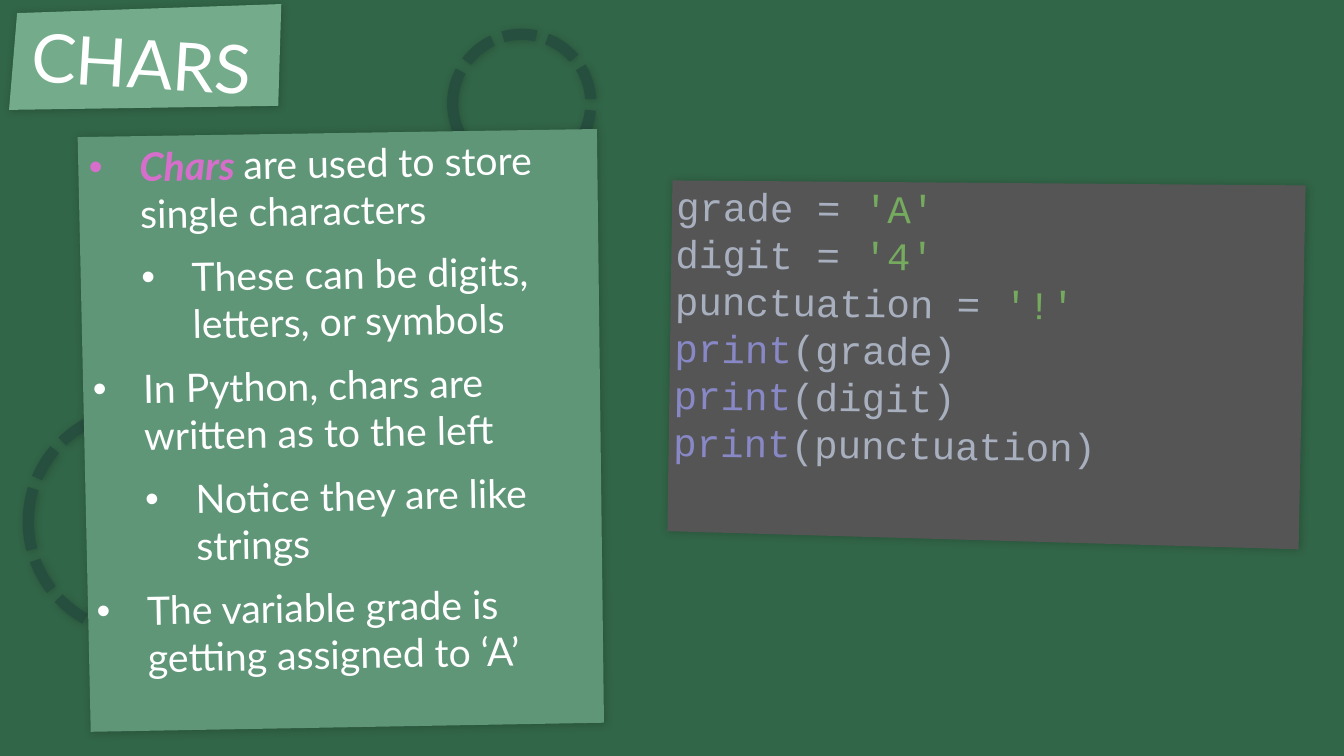
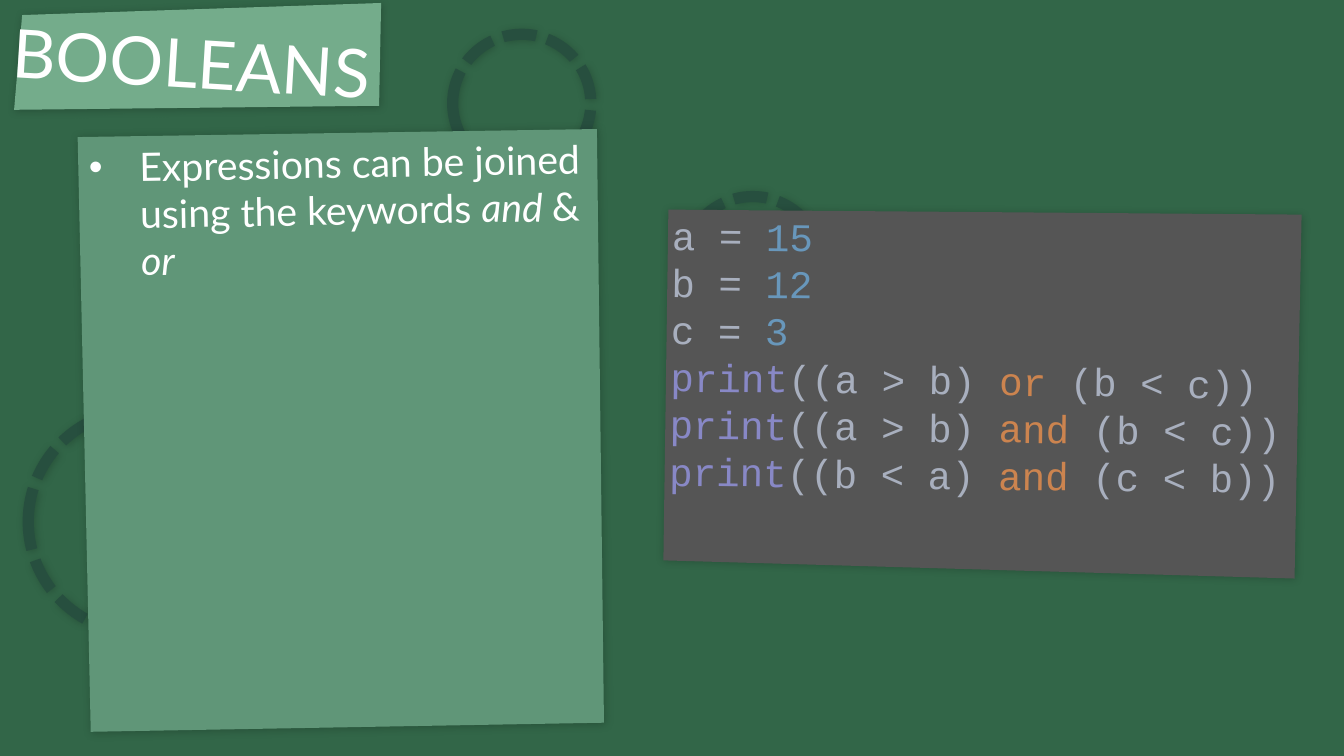
from lxml import etree
from pptx import Presentation
from pptx import util as u
from pptx.dml.color import RGBColor
from pptx.enum import dml, shapes, text
from pptx.oxml.ns import qn

GREEN, RING, TITLE, PANEL, EDITOR = "326648", "274F3F", "74AC8B", "609678", "555555"
WHITE, PINK = "FFFFFF", "D86ECC"
PLAIN, STRING, NUMBER, BUILTIN, KEYWORD = "A8AFBE", "75AA5F", "6897BB", "8888C6", "CC844F"
RINGS = [(6.78, 1.95, 1.37), (0.28, 4.07, 2.21), (4.49, 0.34, 1.37)]
PANEL_CORNERS = [(0.77, 1.36), (5.92, 1.28), (5.99, 7.17), (0.9, 7.26)]
EDITOR_CORNERS = [(0.08, 0), (6.36, 0.05), (6.29, 3.66), (0.03, 3.48)]
BODY = {"size": u.Pt(28), "name": "Lato"}
HEADING = {"size": u.Pt(48), "name": "Lato"}
CODE = {"size": u.Pt(28), "name": "Courier New"}


def color(value):
    return RGBColor.from_string(value)


class Deck:
    """Holds the chalkboard style and the slide being drawn."""

    def __init__(self):
        self.presentation = Presentation()
        self.presentation.slide_width = u.Inches(13.33)
        self.presentation.slide_height = u.Inches(7.5)
        self.slide = None

    def add_slide(self):
        self.slide = self.presentation.slides.add_slide(self.presentation.slide_layouts[6])
        fill = self.slide.background.fill
        fill.solid()
        fill.fore_color.rgb = color(GREEN)
        for left, top, size in RINGS:
            self.ring(left, top, size)

    def shadow(self, shape):
        shape.shadow.inherit = False
        effects = shape._element.spPr.find(qn("a:effectLst"))
        outer = etree.SubElement(effects, qn("a:outerShdw"), blurRad=str(u.Pt(6)),
                                 dist=str(u.Pt(1)), dir="2700000", algn="ctr", rotWithShape="0")
        black = etree.SubElement(outer, qn("a:srgbClr"), val="000000")
        etree.SubElement(black, qn("a:alpha"), val="20000")

    def ring(self, left, top, size):
        shape = self.slide.shapes.add_shape(
            shapes.MSO_SHAPE.OVAL, *map(u.Inches, (left, top, size, size)))
        shape.fill.background()
        shape.line.color.rgb = color(RING)
        shape.line.width = u.Pt(8)
        shape.line.dash_style = dml.MSO_LINE.SQUARE_DOT
        self.shadow(shape)

    def board(self, corners, fill):
        points = [(u.Inches(x), u.Inches(y)) for x, y in corners]
        builder = self.slide.shapes.build_freeform(*points[0])
        builder.add_line_segments(points[1:], close=True)
        shape = builder.convert_to_shape()
        shape.fill.solid()
        shape.fill.fore_color.rgb = color(fill)
        shape.line.fill.background()
        self.shadow(shape)

    def textbox(self, box, rotation, **frame_format):
        shape = self.slide.shapes.add_textbox(*map(u.Inches, box))
        shape.rotation = rotation
        for name, value in frame_format.items():
            setattr(shape.text_frame, name, value)
        return shape.text_frame

    def paragraph(self, frame, index):
        return frame.add_paragraph() if index else frame.paragraphs[0]

    def run(self, paragraph, words, shade, font_format):
        run = paragraph.add_run()
        run.text = words
        run.font.color.rgb = color(shade)
        for name, value in font_format.items():
            setattr(run.font, name, value)

    def title(self, words, width, corners):
        self.board(corners, TITLE)
        frame = self.textbox((0, 0.1, width, 1.02), 3.5, word_wrap=False,
                             vertical_anchor=text.MSO_ANCHOR.MIDDLE)
        paragraph = frame.paragraphs[0]
        paragraph.alignment = text.PP_ALIGN.CENTER
        self.run(paragraph, words, WHITE, HEADING)

    def bullets(self, items):
        self.board(PANEL_CORNERS, PANEL)
        frame = self.textbox((0.83, 1.33, 5.12, 5.9), -1, word_wrap=True,
                             margin_right=u.Inches(0.05))
        for index, (level, runs) in enumerate(items):
            paragraph = self.paragraph(frame, index)
            paragraph.level = level
            properties = paragraph._p.get_or_add_pPr()
            properties.set("marL", str(u.Inches(0.5 * (level + 1))))
            properties.set("indent", str(u.Inches(-0.5)))
            etree.SubElement(properties, qn("a:buFont"), typeface="Arial")
            etree.SubElement(properties, qn("a:buChar"), char="•")
            if index:
                paragraph.space_before = u.Pt(12)
            for words, shade, extra in runs:
                self.run(paragraph, words, shade, BODY | extra)

    def code(self, left, top, lines):
        self.board([(left + x, top + y) for x, y in EDITOR_CORNERS], EDITOR)
        frame = self.textbox((left, top, 6.28, 3.56), 0.7, word_wrap=False)
        for index, line in enumerate(lines):
            paragraph = self.paragraph(frame, index)
            paragraph.line_spacing = u.Pt(33.7)
            for words, shade in line:
                self.run(paragraph, words, shade, CODE)


def plain(words):
    return [(words, WHITE, {})]


def comparison(left, operator, right):
    return [("print", BUILTIN), (f"(({left}) ", PLAIN), (f"{operator} ", KEYWORD),
            (f"({right}))", PLAIN)]


def main():
    deck = Deck()

    deck.add_slide()
    deck.bullets([
        (0, [("Chars ", PINK, {"bold": True, "italic": True}),
             ("are used to store single characters", WHITE, {})]),
        (1, plain("These can be digits, letters, or symbols")),
        (0, plain("In Python, chars are written as to the left")),
        (1, plain("Notice they are like strings")),
        (0, plain("The variable grade is getting assigned to ‘A’")),
    ])
    deck.title("CHARS", 2.81, [(0.17, 0.13), (2.79, 0.04), (2.76, 1.05), (0.09, 1.09)])
    variables = [("grade", "'A'"), ("digit", "'4'"), ("punctuation", "'!'")]
    deck.code(6.59, 1.79,
              [[(f"{name} = ", PLAIN), (value, STRING)] for name, value in variables]
              + [[("print", BUILTIN), (f"({name})", PLAIN)] for name, _ in variables])

    deck.add_slide()
    deck.bullets([
        (0, [("Expressions can be joined using the keywords ", WHITE, {}),
             ("and ", WHITE, {"italic": True}),
             ("& ", WHITE, {}),
             ("or", WHITE, {"italic": True})]),
    ])
    deck.title("BOOLEANS", 3.8, [(0.22, 0.15), (3.78, 0.03), (3.76, 1.05), (0.14, 1.09)])
    numbers = [("a", "15"), ("b", "12"), ("c", "3")]
    deck.code(6.55, 2.08,
              [[(f"{name} = ", PLAIN), (value, NUMBER)] for name, value in numbers]
              + [comparison("a > b", "or", "b < c"),
                 comparison("a > b", "and", "b < c"),
                 comparison("b < a", "and", "c < b")])

    deck.presentation.save("out.pptx")


if __name__ == "__main__":
    main()
